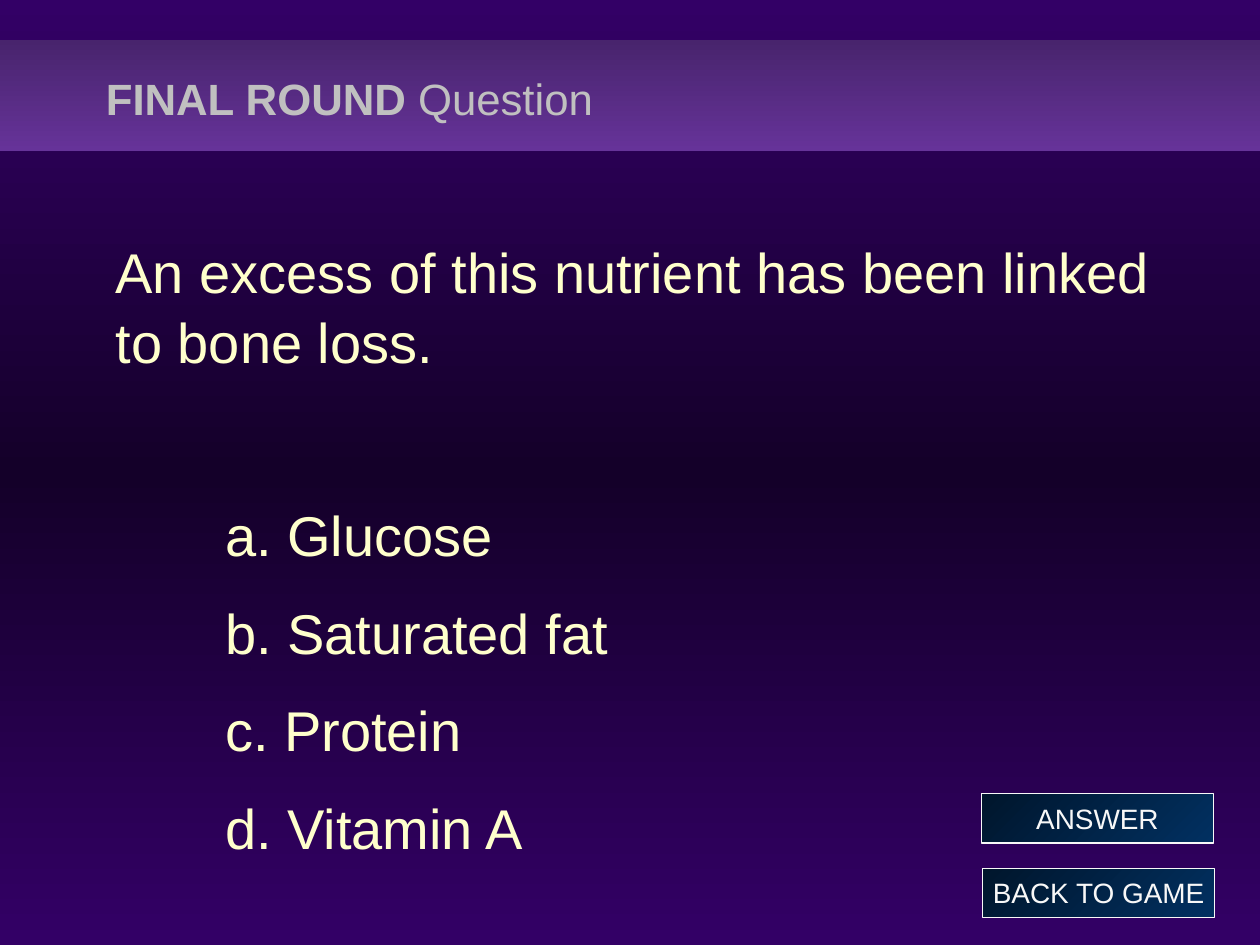
import copy

import pptx
import pptx.dml.color
import pptx.enum.shapes
import pptx.enum.text
import pptx.util

Pt = pptx.util.Pt
RGB = pptx.dml.color.RGBColor.from_string
ALIGN = pptx.enum.text.PP_ALIGN
MIDDLE = pptx.enum.text.MSO_ANCHOR.MIDDLE
RECT = pptx.enum.shapes.MSO_SHAPE.RECTANGLE

COLORS = {
    "edge": "330066", "centre": "140029",
    "band_top": "48246D", "band_bottom": "663399",
    "button_light": "013061", "button_dark": "00162C",
    "button_text": "F8F8F8", "title": "C0C0C0", "body": "FFFFCC",
}
TITLE = [("FINAL ROUND", True), (" Question", False)]
QUESTION = "An excess of this nutrient has been linked to bone loss."
CHOICES = ["a. Glucose", "b. Saturated fat", "c. Protein", "d. Vitamin A"]
BUTTONS = [("ANSWER", 560.9, 453.6), ("BACK TO GAME", 561.6, 496.1)]
BUTTON_SIZE = (132.5, 28.1)
CHOICE_INDENT = 62.6
QUESTION_GAP, CHOICE_GAP = 70, 16


def set_gradient(fill, names, angle):
    fill.gradient()
    fill.gradient_angle = (360 - angle) % 360
    stops = fill.gradient_stops
    first = stops[0]._gs
    for _ in names[len(stops):]:
        first.addnext(copy.deepcopy(first))
    for i, (stop, name) in enumerate(zip(fill.gradient_stops, names)):
        stop.color.rgb = RGB(COLORS[name])
        stop.position = i / (len(names) - 1)


def format_text(tf, wrap=True):
    values = {
        "margin_left": Pt(7.2), "margin_right": Pt(7.2),
        "margin_top": Pt(3.6), "margin_bottom": Pt(3.6),
        "vertical_anchor": MIDDLE, "word_wrap": wrap,
        "auto_size": pptx.enum.text.MSO_AUTO_SIZE.NONE,
    }
    for key, value in values.items():
        setattr(tf, key, value)


def add_run(p, text, size, color, bold=False):
    r = p.add_run()
    r.text = text
    for key, value in {"name": "Arial", "size": Pt(size), "bold": bold}.items():
        setattr(r.font, key, value)
    r.font.color.rgb = RGB(COLORS[color])


def add_rect(s, box, names, angle):
    sp = s.shapes.add_shape(RECT, *map(Pt, box))
    sp.shadow.inherit = False
    set_gradient(sp.fill, names, angle)
    return sp


def add_title(s):
    sp = s.shapes.title
    box = {"left": 53.3, "top": 22.3, "width": 653.8, "height": 64.1}
    for key, value in box.items():
        setattr(sp, key, Pt(value))
    format_text(sp.text_frame)
    p = sp.text_frame.paragraphs[0]
    p.alignment = ALIGN.LEFT
    p.line_spacing = 1.1
    for text, bold in TITLE:
        add_run(p, text, 25, "title", bold)


def add_body(s):
    sp = s.shapes.add_textbox(*map(Pt, (59, 103, 622.1, 420.5)))
    tf = sp.text_frame
    format_text(tf)
    for i, text in enumerate([QUESTION] + CHOICES):
        p = tf.add_paragraph() if i else tf.paragraphs[0]
        p.line_spacing = 1.04
        if i:
            p._p.get_or_add_pPr().set("marL", str(Pt(CHOICE_INDENT)))
            p.space_before = Pt(QUESTION_GAP if i == 1 else CHOICE_GAP)
        add_run(p, text, 32, "body")


def add_button(s, text, left, top):
    sp = add_rect(s, (left, top, *BUTTON_SIZE), ["button_light", "button_dark"], 225)
    sp.line.color.rgb = RGB(COLORS["button_text"])
    sp.line.width = Pt(0.75)
    format_text(sp.text_frame, wrap=False)
    p = sp.text_frame.paragraphs[0]
    p.alignment = ALIGN.CENTER
    add_run(p, text, 16, "button_text")


def main():
    prs = pptx.Presentation()
    prs.slide_width, prs.slide_height = Pt(720), Pt(540)
    s = prs.slides.add_slide(prs.slide_layouts[5])
    set_gradient(s.background.fill, ["edge", "centre", "edge"], 90)
    band = add_rect(s, (0, 23, 720, 63.4), ["band_top", "band_bottom"], 90)
    band.line.fill.background()
    s.shapes.title._element.addprevious(band._element)
    add_title(s)
    add_body(s)
    for text, left, top in BUTTONS:
        add_button(s, text, left, top)
    prs.save("out.pptx")


if __name__ == "__main__":
    main()
